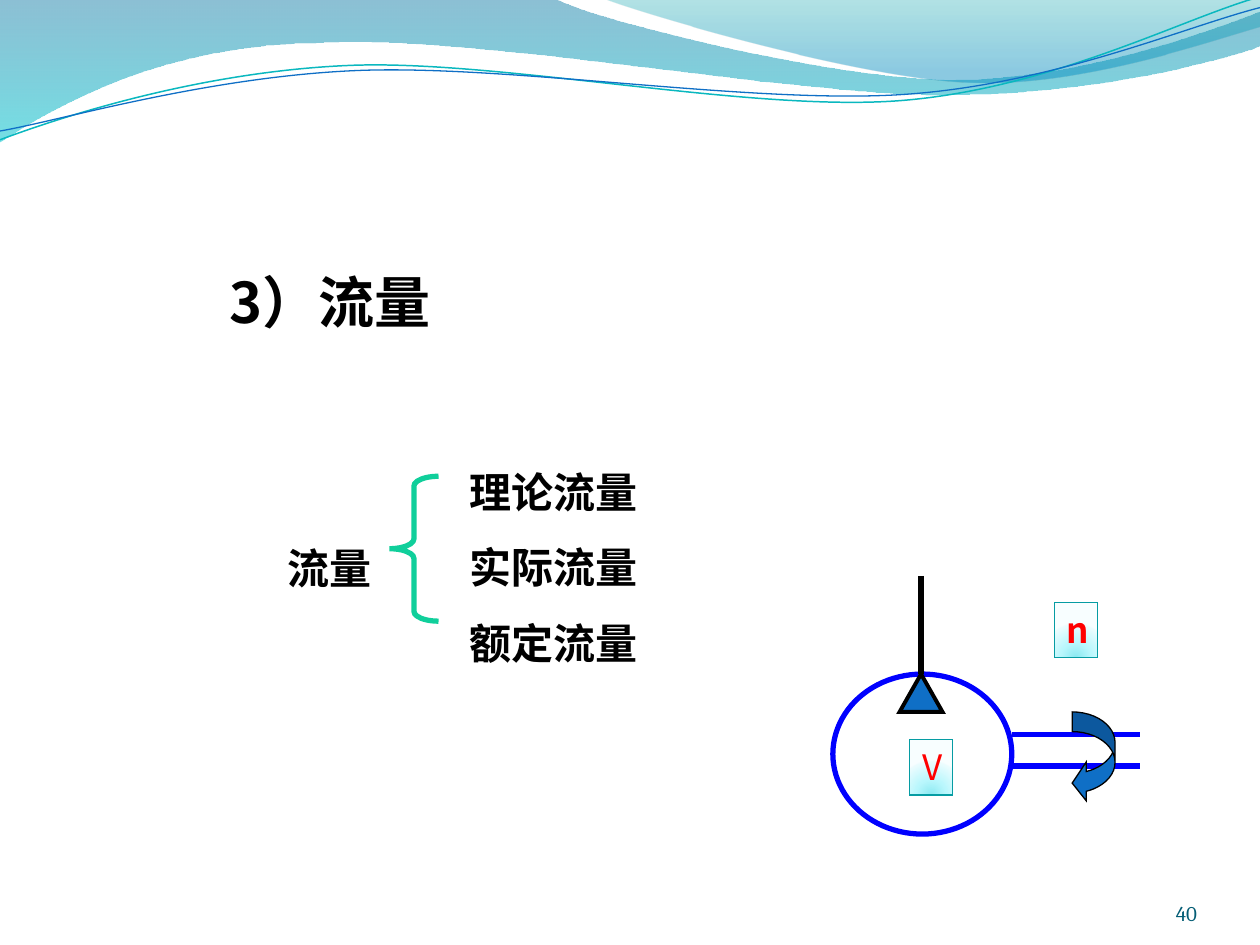
import math
from typing import NamedTuple, Optional

import pptx
import pptx.dml.color
import pptx.enum.shapes
import pptx.enum.text
import pptx.oxml
import pptx.oxml.ns
import pptx.util
from pptx.util import Inches

RGBColor = pptx.dml.color.RGBColor
SHAPE = pptx.enum.shapes.MSO_SHAPE
ALIGN = pptx.enum.text.PP_ALIGN
ANCHOR = pptx.enum.text.MSO_ANCHOR
FIT = pptx.enum.text.MSO_AUTO_SIZE

BLACK = RGBColor(0x00, 0x00, 0x00)
RED = RGBColor(0xFF, 0x00, 0x00)
BLUE = RGBColor(0x00, 0x00, 0xFF)
SEA_BLUE = RGBColor(0x0F, 0x6F, 0xC6)
TEAL = RGBColor(0x0A, 0xB8, 0xBF)
LABEL_EDGE = RGBColor(0x06, 0x9C, 0xA3)
GREEN = RGBColor(0x10, 0xCF, 0x9B)
PAGE_NUMBER = RGBColor(0x04, 0x5D, 0x75)

CJK_FONT = "Noto Sans CJK SC"
DOWNWARD = '<a:lin ang="5400000" scaled="0"/>'
FROM_BELOW = ('<a:path path="circle"><a:fillToRect l="50000" t="130000" '
              'r="50000" b="-30000"/></a:path>')

Point = tuple[float, float]
Box = tuple[float, float, float, float]


class Stop(NamedTuple):
    position: int
    color: RGBColor
    opacity: int = 100


class Wave(NamedTuple):
    """Each edge is one point for a straight run, or three for a Bezier."""
    box: Box
    start: Point
    edges: list[tuple[Point, ...]]
    stops: Optional[list[Stop]] = None
    line: Optional[RGBColor] = None
    width: float = 0
    tilt: float = 0


class Caption(NamedTuple):
    box: Box
    lines: list[str]
    size: int
    wrap: bool = False


class PumpLabel(NamedTuple):
    left: float
    top: float
    text: str
    bold: bool


class Pipe(NamedTuple):
    start: Point
    end: Point
    color: RGBColor


WAVES = [
    Wave((-0.01, -0.01, 10.02, 1.14), (0, -0.01), [
        ((4.4, -0.01),),
        ((4.76, 0.17), (6.64, 0.63), (7.58, 0.63)),
        ((8.53, 0.63), (9.58, 0.26), (10, 0.09)),
        ((10.01, 0.36),),
        ((9.83, 0.44), (8.7, 0.76), (7.46, 0.75)),
        ((6.22, 0.75), (3.82, 0.28), (2.57, 0.34)),
        ((1.29, 0.35), (0.46, 0.83), (-0.01, 1.13)),
        ((0, -0.01),)],
        stops=[Stop(0, RGBColor(0x00, 0x74, 0xA1), 45),
               Stop(100, RGBColor(0x00, 0xC6, 0xCF), 55)]),
    Wave((4.79, -0.01, 5.21, 0.7), (4.79, -0.01), [
        ((5.09, 0.11), (6.82, 0.62), (7.69, 0.65)),
        ((8.56, 0.69), (9.61, 0.32), (10, 0.21)),
        ((10, 0),),
        ((4.79, -0.01),)],
        stops=[Stop(0, RGBColor(0x00, 0xA1, 0xA9), 30),
               Stop(80, RGBColor(0x00, 0x8B, 0xBF), 45)]),
    Wave((-0.02, 0.22, 10.02, 0.71), (0, 1.11), [
        ((0.48, 0.93), (1.58, 0.57), (2.77, 0.52)),
        ((3.95, 0.47), (5.93, 0.89), (7.13, 0.8)),
        ((8.33, 0.71), (9.38, 0.15), (9.98, -0.02))],
        line=TEAL, width=0.85, tilt=-2.7),
    Wave((-0.02, 0.3, 10.03, 0.58), (0, 1.04), [
        ((0.47, 0.96), (1.64, 0.61), (2.83, 0.56)),
        ((4.03, 0.51), (5.97, 0.83), (7.17, 0.75)),
        ((8.36, 0.67), (9.41, 0.21), (10, 0.06))],
        line=SEA_BLUE, width=0.75, tilt=-2.7),
]
TITLE = Caption((1.72, 1.81, 5.34, 1.18), ["3）流量"], 32, wrap=True)
FLOW_KINDS = Caption((3.63, 3.45, 1.56, 1.92),
                     ["理论流量", "实际流量", "额定流量"], 24)
FLOW = Caption((2.18, 4.06, 0.88, 0.61), ["流量"], 24)
PIPES = [Pipe((8.03, 5.83), (9.05, 5.83), BLUE),
         Pipe((8.03, 6.08), (9.05, 6.08), BLUE),
         Pipe((7.31, 4.57), (7.31, 5.35), BLACK)]
PUMP_LABELS = [PumpLabel(8.37, 4.78, "n", True), PumpLabel(7.22, 5.87, "V", False)]
LABEL_STOPS = [Stop(0, RGBColor(0x8B, 0xE9, 0xF1)), Stop(43, RGBColor(0xB9, 0xF7, 0xFD)),
               Stop(93, RGBColor(0xEA, 0xFC, 0xFE)), Stop(100, RGBColor(0xF8, 0xFE, 0xFF))]


def drawing_xml(markup: str):
    """Parse an element that has at least one attribute."""
    tag, rest = markup.split(" ", 1)
    return pptx.oxml.parse_xml(f'{tag} {pptx.oxml.ns.nsdecls("a")} {rest}')


def set_gradient(shape, stops: list[Stop], direction: str) -> None:
    marks = "".join(
        f'<a:gs pos="{stop.position * 1000}"><a:srgbClr val="{stop.color}">'
        f'<a:alpha val="{stop.opacity * 1000}"/></a:srgbClr></a:gs>' for stop in stops)
    shape.fill.background()
    blank_fill = shape._element.spPr.find(pptx.oxml.ns.qn("a:noFill"))
    blank_fill.getparent().replace(blank_fill, drawing_xml(
        f'<a:gradFill rotWithShape="1"><a:gsLst>{marks}</a:gsLst>{direction}</a:gradFill>'))


def set_line(item, color: RGBColor, width: float) -> None:
    item.line.color.rgb = color
    item.line.width = pptx.util.Pt(width)


def path_point(wave: Wave, point: Point) -> str:
    """Place a slide point in the wave's own box, before the box is tilted."""
    left, top, width, height = wave.box
    turn = math.radians(-wave.tilt)
    dx, dy = point[0] - left - width / 2, point[1] - top - height / 2
    x = width / 2 + dx * math.cos(turn) - dy * math.sin(turn)
    y = height / 2 + dx * math.sin(turn) + dy * math.cos(turn)
    return f'<a:pt x="{Inches(x)}" y="{Inches(y)}"/>'


def draw_wave(slide, wave: Wave) -> None:
    builder = slide.shapes.build_freeform(*map(Inches, wave.start))
    builder.add_line_segments([tuple(map(Inches, edge[-1])) for edge in wave.edges],
                              close=False)
    shape = builder.convert_to_shape()
    shape.left, shape.top, shape.width, shape.height = map(Inches, wave.box)
    shape.rotation = wave.tilt
    shape.shadow.inherit = False

    steps = f"<a:moveTo>{path_point(wave, wave.start)}</a:moveTo>"
    for edge in wave.edges:
        tag = "a:lnTo" if len(edge) == 1 else "a:cubicBezTo"
        steps += f'<{tag}>{"".join(path_point(wave, point) for point in edge)}</{tag}>'
    if wave.stops:
        steps += "<a:close/>"
    outline = next(shape._element.iter(pptx.oxml.ns.qn("a:path")))
    outline.getparent().replace(outline, drawing_xml(
        f'<a:path w="{shape.width}" h="{shape.height}">{steps}</a:path>'))

    if wave.stops:
        set_gradient(shape, wave.stops, DOWNWARD)
        shape.line.fill.background()
    else:
        shape.fill.background()
        set_line(shape, wave.line, wave.width)


def write(paragraph, text: str, size: int, color: RGBColor, bold: bool = True,
          font: str = CJK_FONT) -> None:
    run = paragraph.add_run()
    run.text = text
    run.font.size = pptx.util.Pt(size)
    run.font.bold = bold
    run.font.color.rgb = color
    run.font.name = font
    run.font._element.append(drawing_xml(f'<a:ea typeface="{font}"/>'))


def draw_caption(slide, caption: Caption) -> None:
    frame = slide.shapes.add_textbox(*map(Inches, caption.box)).text_frame
    frame.word_wrap = caption.wrap
    frame.auto_size = FIT.NONE if caption.wrap else FIT.SHAPE_TO_FIT_TEXT
    for index, text in enumerate(caption.lines):
        paragraph = frame.add_paragraph() if index else frame.paragraphs[0]
        paragraph.line_spacing = 1.5
        write(paragraph, text, caption.size, BLACK)


def draw_shape(slide, kind: SHAPE, box: Box, line: RGBColor, width: float,
               fill: Optional[RGBColor] = None, adjustments: tuple[float, ...] = ()):
    shape = slide.shapes.add_shape(kind, *map(Inches, box))
    shape.shadow.inherit = False
    set_line(shape, line, width)
    shape.line._get_or_add_ln().append(drawing_xml('<a:miter lim="800000"/>'))
    if fill is None:
        shape.fill.background()
    else:
        shape.fill.solid()
        shape.fill.fore_color.rgb = fill
    for index, value in enumerate(adjustments):
        shape.adjustments[index] = value
    return shape


def draw_pipe(slide, pipe: Pipe) -> None:
    connector = slide.shapes.add_connector(
        pptx.enum.shapes.MSO_CONNECTOR.STRAIGHT, *map(Inches, pipe.start + pipe.end))
    set_line(connector, pipe.color, 3)
    connector._element.spPr.append(pptx.oxml.parse_xml(
        f'<a:effectLst {pptx.oxml.ns.nsdecls("a")}/>'))


def draw_pump_label(slide, label: PumpLabel) -> None:
    shape = draw_shape(slide, SHAPE.RECTANGLE, (label.left, label.top, 0.34, 0.44),
                       LABEL_EDGE, 0.75)
    set_gradient(shape, LABEL_STOPS, FROM_BELOW)
    frame = shape.text_frame
    frame.word_wrap = False
    frame.auto_size = FIT.SHAPE_TO_FIT_TEXT
    frame.vertical_anchor = ANCHOR.TOP
    frame.paragraphs[0].alignment = ALIGN.LEFT
    write(frame.paragraphs[0], label.text, 20, RED, label.bold)


def draw_page_number(slide, number: str) -> None:
    frame = slide.shapes.add_textbox(*map(Inches, (8.67, 6.95, 0.83, 0.4))).text_frame
    frame.margin_left = frame.margin_right = frame.margin_top = frame.margin_bottom = 0
    frame.word_wrap = True
    frame.vertical_anchor = ANCHOR.BOTTOM
    frame.paragraphs[0].alignment = ALIGN.RIGHT
    write(frame.paragraphs[0], number, 12, PAGE_NUMBER, False, "Cambria")


def main() -> None:
    deck = pptx.Presentation()
    deck.slide_width, deck.slide_height = Inches(10), Inches(7.5)
    slide = deck.slides.add_slide(deck.slide_layouts[6])
    for wave in WAVES:
        draw_wave(slide, wave)
    draw_caption(slide, TITLE)
    draw_shape(slide, SHAPE.LEFT_BRACE, (3.09, 3.78, 0.39, 1.15), GREEN, 3,
               adjustments=(0.2, 0.5))
    for caption in (FLOW_KINDS, FLOW):
        draw_caption(slide, caption)
    draw_shape(slide, SHAPE.OVAL, (6.61, 5.35, 1.42, 1.27), BLUE, 3)
    draw_shape(slide, SHAPE.ISOSCELES_TRIANGLE, (7.14, 5.35, 0.34, 0.3), BLACK, 2.25, SEA_BLUE)
    for pipe in PIPES:
        draw_pipe(slide, pipe)
    draw_shape(slide, SHAPE.CURVED_LEFT_ARROW, (8.51, 5.65, 0.34, 0.72), BLACK, 0.75,
               SEA_BLUE, (0.46, 0.91, 0.33))
    for label in PUMP_LABELS:
        draw_pump_label(slide, label)
    draw_page_number(slide, "40")
    deck.save("out.pptx")


if __name__ == "__main__":
    main()
